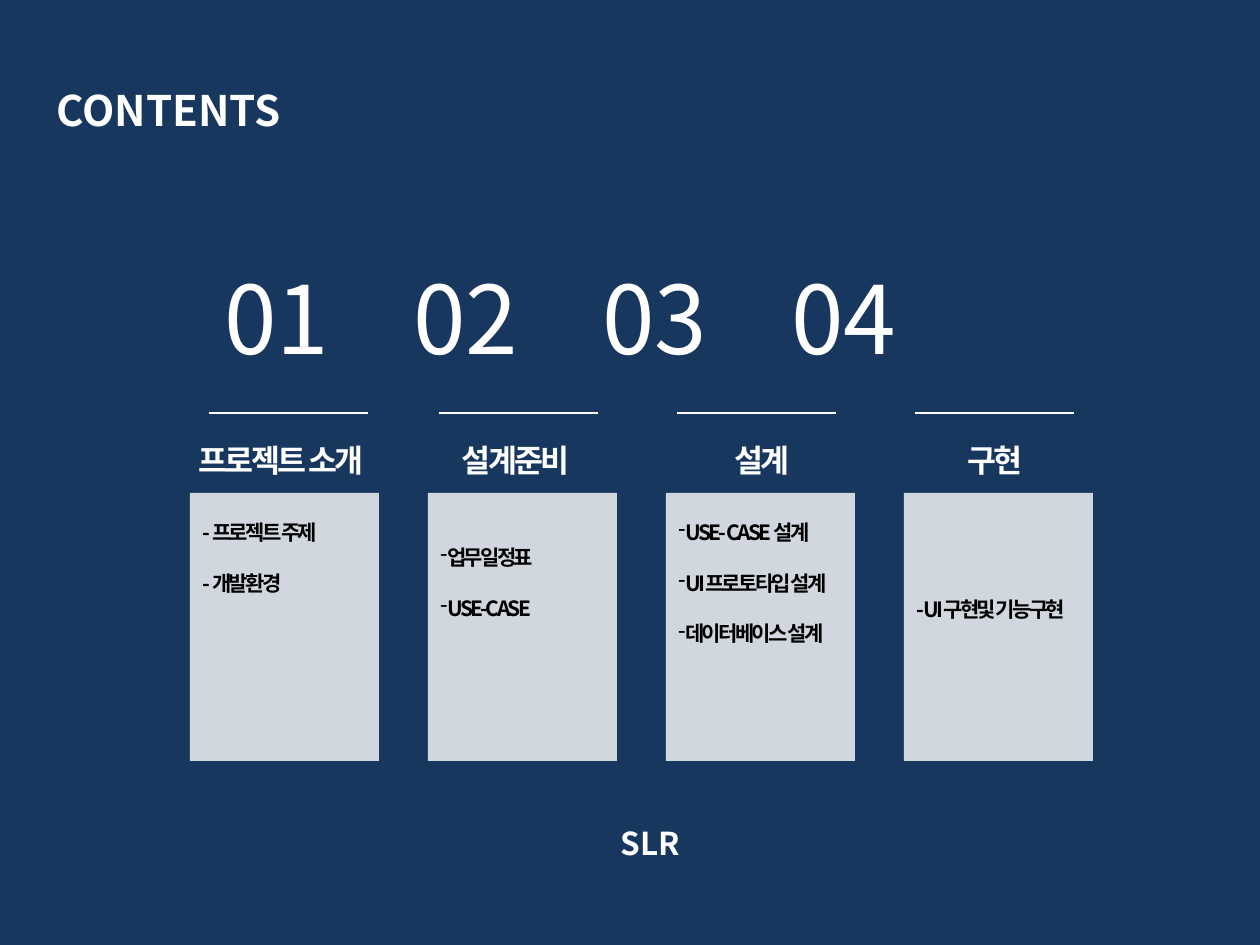
from lxml.etree import SubElement
from pptx import Presentation
from pptx.dml.color import RGBColor
from pptx.enum.shapes import MSO_CONNECTOR, MSO_SHAPE
from pptx.enum.text import PP_ALIGN
from pptx.oxml.ns import qn
from pptx.util import Emu, Pt

NAVY = RGBColor(0x17, 0x37, 0x5E)
WHITE = RGBColor(0xFF, 0xFF, 0xFF)
BLACK = RGBColor(0x00, 0x00, 0x00)
SANS = "Noto Sans CJK KR"
HEADING_FONT = "Arial"

SECTIONS = [
    dict(number="01", heading="프로젝트 소개", heading_at=(175, 212), rule_left=209,
         items=["- 프로젝트 주제", "- 개발환경"], items_top=513, bullet=None),
    dict(number="02", heading="설계준비", heading_at=(402, 228), rule_left=439,
         items=["업무일정표", "USE-CASE"], items_top=538, bullet="-"),
    dict(number="03", heading="설계", heading_at=(629, 266), rule_left=677,
         items=["USE- CASE 설계", "UI프로토타입 설계", "데이터베이스 설계"],
         items_top=513, bullet="-"),
    dict(number="04", heading="구현", heading_at=(866, 258), rule_left=915,
         items=["- UI구현및 기능구현"], items_top=590, bullet=None),
]

CARD_LEFT, CARD_TOP, CARD_WIDTH, CARD_HEIGHT, CARD_PITCH = 190, 493, 189, 268, 238
NUMBER_LEFT, NUMBER_TOP, NUMBER_PITCH = 212, 253, 189
RULE_TOP, RULE_WIDTH = 413, 159
HEADING_TOP = 435
LINE_RATIO = 1.21


def px(length):
    return Emu(round(length * 914400 / 126))


def add_text(page, left, top, width, height, lines, size, color=WHITE, font=SANS,
             bold=True, align=PP_ALIGN.LEFT, tracking=None, bullet=None):
    box = page.shapes.add_textbox(px(left), px(top), px(width), px(height))
    frame = box.text_frame
    frame.word_wrap = True
    for index, line in enumerate(lines):
        para = frame.add_paragraph() if index else frame.paragraphs[0]
        para.alignment = align
        para.line_spacing = Pt(size * LINE_RATIO)
        if index:
            para.space_before = Pt(size * LINE_RATIO)
        if bullet:
            SubElement(para._p.get_or_add_pPr(), qn("a:buChar")).set("char", bullet)
        span = para.add_run()
        span.text = line
        span.font.size = Pt(size)
        span.font.bold = bold
        span.font.color.rgb = color
        span.font.name = font
        properties = span.font._element
        SubElement(properties, qn("a:ea")).set("typeface", SANS)
        if tracking:
            properties.set("spc", str(tracking))


def add_card(page, left):
    card = page.shapes.add_shape(MSO_SHAPE.RECTANGLE, px(left), px(CARD_TOP),
                                 px(CARD_WIDTH), px(CARD_HEIGHT))
    card.shadow.inherit = False
    card.line.fill.background()
    card.fill.solid()
    card.fill.fore_color.rgb = WHITE
    color = card._element.spPr.find(qn("a:solidFill")).find(qn("a:srgbClr"))
    SubElement(color, qn("a:alpha")).set("val", "80000")


def add_rule(page, left):
    rule = page.shapes.add_connector(MSO_CONNECTOR.STRAIGHT, px(left), px(RULE_TOP),
                                     px(left + RULE_WIDTH), px(RULE_TOP))
    rule.line.color.rgb = WHITE
    rule.line.width = Pt(0.75)
    SubElement(rule._element.spPr, qn("a:effectLst"))


def main():
    deck = Presentation()
    deck.slide_width, deck.slide_height = px(1260), px(945)
    page = deck.slides.add_slide(deck.slide_layouts[6])
    page.background.fill.solid()
    page.background.fill.fore_color.rgb = NAVY

    add_text(page, 44, 78, 576, 63, ["CONTENTS"], 24)
    for index, section in enumerate(SECTIONS):
        card_left = CARD_LEFT + index * CARD_PITCH
        add_card(page, card_left)
        add_text(page, NUMBER_LEFT + index * NUMBER_PITCH, NUMBER_TOP, NUMBER_PITCH, 127,
                 [section["number"]], 54, bold=False)
        add_rule(page, section["rule_left"])
        heading_left, heading_width = section["heading_at"]
        add_text(page, heading_left, HEADING_TOP, heading_width, 50, [section["heading"]],
                 18, font=HEADING_FONT, align=PP_ALIGN.CENTER, tracking=-150)
        items = section["items"]
        add_text(page, card_left, section["items_top"], CARD_WIDTH, 51 * len(items) - 13,
                 items, 12, color=BLACK, tracking=-150, bullet=section["bullet"])
    add_text(page, 402, 818, 496, 50, ["SLR"], 18, align=PP_ALIGN.CENTER)
    deck.save("out.pptx")


if __name__ == "__main__":
    main()
